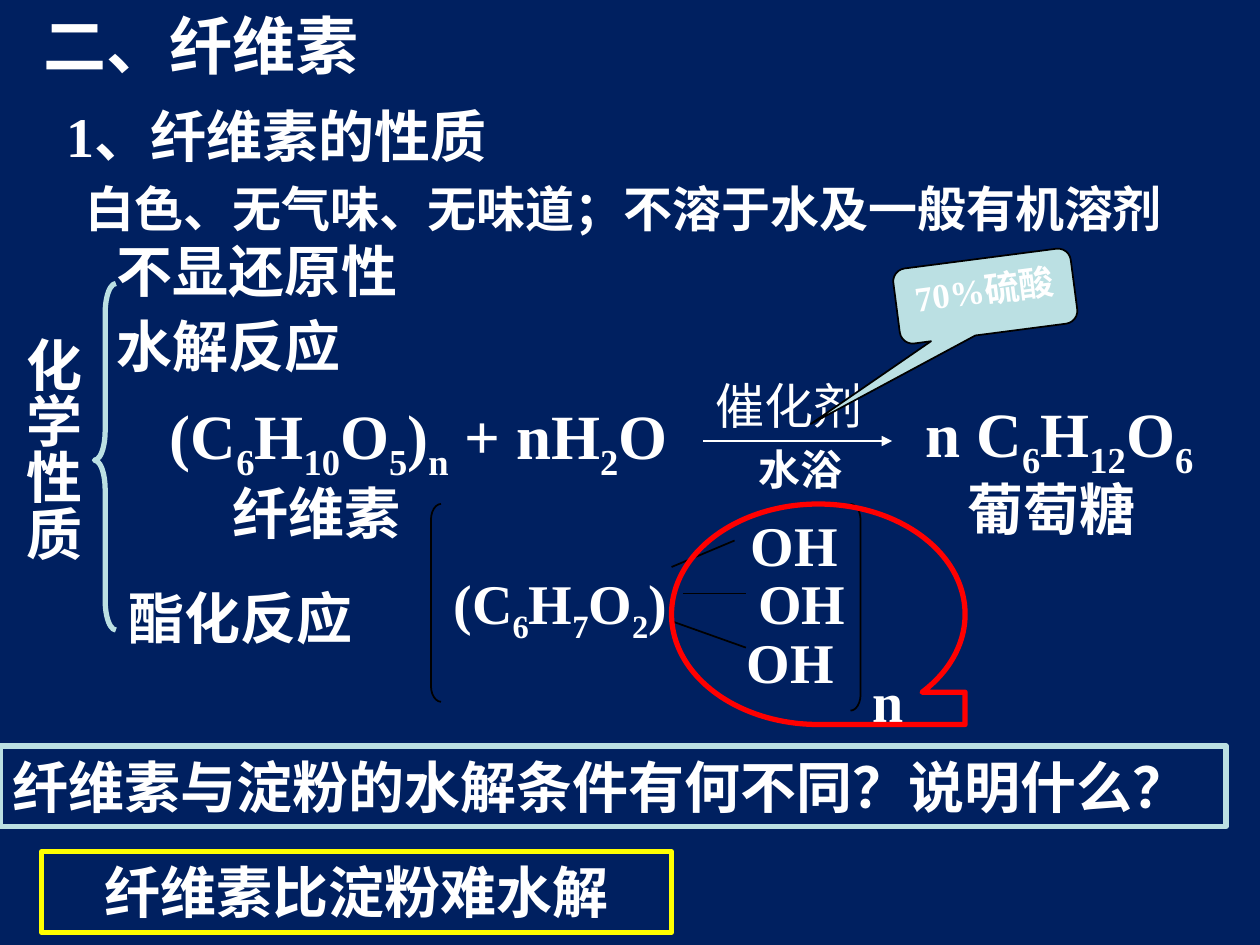
from dataclasses import dataclass
from typing import Any

from lxml import etree
from pptx import Presentation
from pptx.dml.color import RGBColor
from pptx.enum.shapes import MSO_CONNECTOR, MSO_SHAPE
from pptx.enum.text import MSO_ANCHOR, MSO_AUTO_SIZE, PP_ALIGN
from pptx.oxml.ns import qn
from pptx.util import Inches, Pt

LINE = MSO_CONNECTOR.STRAIGHT
RECT = MSO_SHAPE.RECTANGLE
CALLOUT = MSO_SHAPE.ROUNDED_RECTANGULAR_CALLOUT
BRACE = MSO_SHAPE.LEFT_BRACE
OPEN = MSO_SHAPE.LEFT_BRACKET
CLOSE = MSO_SHAPE.RIGHT_BRACKET
TAPE = MSO_SHAPE.FLOWCHART_SEQUENTIAL_ACCESS_STORAGE
TOP = MSO_ANCHOR.TOP
FIT = MSO_AUTO_SIZE.SHAPE_TO_FIT_TEXT
FIXED = MSO_AUTO_SIZE.NONE
LEFT = PP_ALIGN.LEFT
CENTER = PP_ALIGN.CENTER

Box = tuple[float, float, float, float]


@dataclass(frozen=True)
class Theme:
    back: str = "002060"
    ink: str = "FFFFFF"
    pale: str = "BBE0E3"
    dark: str = "000000"
    gold: str = "FFFF00"
    red: str = "FF0000"
    face: str = "Times New Roman"
    title: int = 36
    body: int = 32
    note: int = 28
    small: int = 24
    tip: int = 20
    thin: float = 1
    arrow: float = 1.5
    thick: float = 3


THEME = Theme()


@dataclass(frozen=True)
class Label:
    text: str
    box: Box
    size: int = THEME.body
    bold: bool = True
    upright: bool = False


@dataclass(frozen=True)
class Link:
    start: tuple[float, float]
    end: tuple[float, float]
    color: str = THEME.dark
    width: float = THEME.thin
    arrow: bool = False


@dataclass(frozen=True)
class Figure:
    kind: Any
    box: Box
    color: str
    width: float = THEME.thick
    fill: str | None = None
    turn: float = 0
    bends: tuple[float, ...] = ()
    text: str = ""
    size: int = THEME.body
    align: Any = LEFT
    fit: Any = FIT


LABELS = [
    Label("二、纤维素", (0.25, 0, 2.83, 0.7), THEME.title),
    Label("1、纤维素的性质", (0.43, 0.76, 3.83, 0.64)),
    Label("白色、无气味、无味道；不溶于水及一般有机溶剂", (0.58, 1.37, 9.08, 0.57), THEME.note),
    Label("不显还原性", (0.83, 1.83, 3.08, 0.64)),
    Label("水解反应", (0.83, 2.42, 2.33, 0.64)),
    Label("酯化反应", (0.92, 4.58, 2.33, 0.64)),
    Label("化学性质", (0, 2.58, 0.73, 2.17), upright=True),
    Label("(C_6_H_10_O_5_)_n_ + nH_2_O", (1.25, 3.1, 5.75, 0.79), THEME.title),
    Label("催化剂", (5.58, 2.93, 1.58, 0.57), THEME.note, bold=False),
    Label("水浴", (5.92, 3.47, 1.33, 0.5), THEME.small),
    Label("n C_6_H_12_O_6", (7.25, 3.08, 2.75, 0.79), THEME.title),
    Label("纤维素", (1.75, 3.75, 2.08, 0.64)),
    Label("葡萄糖", (7.58, 3.72, 1.83, 0.64)),
    Label("(C_6_H_7_O_2_)", (3.5, 4.46, 2, 0.71)),
    Label("OH", (5.86, 4, 1.14, 0.64)),
    Label("OH", (5.92, 4.46, 1.25, 0.64)),
    Label("OH", (5.83, 4.93, 1.25, 0.64)),
    Label("n", (6.83, 5.24, 0.58, 0.64)),
]

LINKS = [
    Link((5.58, 3.5), (7.08, 3.5), THEME.ink, THEME.arrow, True),
    Link((5.33, 4.5), (5.83, 4.29)),
    Link((5.42, 4.71), (5.92, 4.71)),
    Link((5.33, 4.93), (5.92, 5.14)),
]

FIGURES = [
    Figure(CALLOUT, (7.11, 2.05, 1.42, 0.6), THEME.dark, THEME.thin, THEME.pale, 352.6,
           (-1.06, 1.38, 0.17), "70%硫酸", THEME.tip, CENTER, FIXED),
    Figure(RECT, (0, 5.92, 9.73, 0.64), THEME.pale,
           text="纤维素与淀粉的水解条件有何不同？说明什么？"),
    Figure(RECT, (0.33, 6.76, 5, 0.64), THEME.gold,
           text="纤维素比淀粉难水解", align=CENTER),
    Figure(BRACE, (0.75, 2.25, 0.17, 2.75), THEME.pale, bends=(1.38, 0.51)),
    Figure(OPEN, (3.42, 4, 0.08, 1.57), THEME.dark, THEME.thin, bends=(1.6,)),
    Figure(CLOSE, (6.75, 4, 0.08, 1.64), THEME.dark, THEME.thin, bends=(1.6,)),
    Figure(TAPE, (5.33, 4, 2.33, 1.75), THEME.red),
]


def apply(item: Any, style: dict[str, Any]) -> None:
    for name, value in style.items():
        setattr(item, name, value)


def stroke(line: Any, color: str, width: float) -> None:
    line.color.rgb = RGBColor.from_string(color)
    line.width = Pt(width)


def write(shape: Any, text: str, size: int, bold: bool = True,
          align: Any = LEFT, fit: Any = FIT) -> None:
    frame = shape.text_frame
    apply(frame, {"word_wrap": True, "auto_size": fit, "vertical_anchor": TOP})
    para = frame.paragraphs[0]
    para.alignment = align
    style = {"name": THEME.face, "size": Pt(size), "bold": bold}
    for spot, part in enumerate(text.split("_")):
        if not part:
            continue
        run = para.add_run()
        run.text = part
        apply(run.font, style)
        run.font.color.rgb = RGBColor.from_string(THEME.ink)
        if spot % 2:
            run._r.get_or_add_rPr().set("baseline", "-25000")


def draw_label(slide: Any, label: Label) -> None:
    shape = slide.shapes.add_textbox(*map(Inches, label.box))
    write(shape, label.text, label.size, label.bold)
    if label.upright:
        frame = shape.text_frame
        apply(frame, {"margin_left": Inches(0.05), "margin_right": Inches(0.05),
                      "margin_top": Inches(0.1), "margin_bottom": Inches(0.1)})
        frame._txBody.bodyPr.set("vert", "eaVert")


def draw_link(slide: Any, link: Link) -> None:
    shape = slide.shapes.add_connector(LINE, *map(Inches, link.start + link.end))
    stroke(shape.line, link.color, link.width)
    if link.arrow:
        etree.SubElement(shape.line._get_or_add_ln(), qn("a:tailEnd"), type="triangle")
    etree.SubElement(shape._element.spPr, qn("a:effectLst"))


def draw_figure(slide: Any, figure: Figure) -> None:
    shape = slide.shapes.add_shape(figure.kind, *map(Inches, figure.box))
    shape.shadow.inherit = False
    shape.rotation = figure.turn
    for spot, bend in enumerate(figure.bends):
        shape.adjustments[spot] = bend
    if figure.fill:
        shape.fill.solid()
        shape.fill.fore_color.rgb = RGBColor.from_string(figure.fill)
    else:
        shape.fill.background()
    stroke(shape.line, figure.color, figure.width)
    if figure.text:
        write(shape, figure.text, figure.size, align=figure.align, fit=figure.fit)


def main() -> None:
    deck = Presentation()
    apply(deck, {"slide_width": Inches(10), "slide_height": Inches(7.5)})
    slide = deck.slides.add_slide(deck.slide_layouts[6])
    back = slide.background.fill
    back.solid()
    back.fore_color.rgb = RGBColor.from_string(THEME.back)
    for label in LABELS:
        draw_label(slide, label)
    for link in LINKS:
        draw_link(slide, link)
    for figure in FIGURES:
        draw_figure(slide, figure)
    deck.save("out.pptx")


if __name__ == "__main__":
    main()
